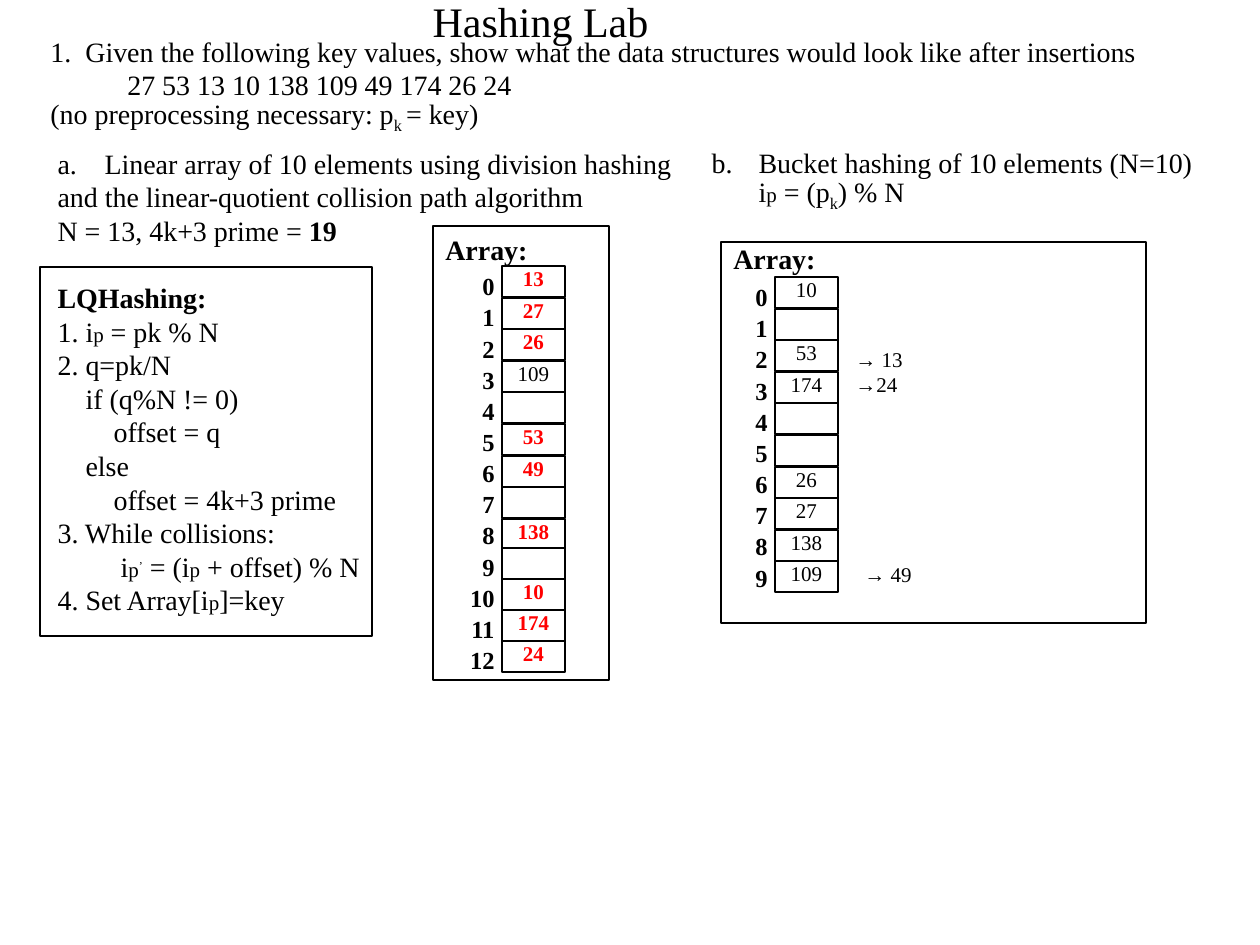
from lxml.etree import SubElement
from pptx import Presentation
from pptx.dml.color import RGBColor
from pptx.enum.shapes import MSO_SHAPE
from pptx.enum.text import MSO_ANCHOR, MSO_AUTO_SIZE, PP_ALIGN
from pptx.oxml.ns import qn
from pptx.util import Emu, Pt

FONT = "Times New Roman"
COLORS = {"ink": "000000", "paper": "FFFFFF", "hit": "FF0000"}
STYLES = {
    "bold": {"bold": True},
    "small": {"size": 12},
    "sub": {"baseline": -25000},
    "prime": {"size": 12, "baseline": 30000},
    "hit": {"bold": True, "color": "hit"},
}
INSET = (12.6, 6.3, 12.6, 6.3)


def px(value):
    return Emu(round(value * 914400 / 126))


def color(name):
    return RGBColor.from_string(COLORS[name])


def place(part, box):
    part.left, part.top, part.width, part.height = map(px, box)


def line(*runs, indent=0, hang=0, before=0, number=0):
    return {"runs": runs, "indent": indent, "hang": hang, "before": before, "number": number}


def write(part, lines, size=16, style=None, align=PP_ALIGN.LEFT, after=0, inset=INSET, wrap=True):
    frame = part.text_frame
    frame.word_wrap = wrap
    frame.auto_size = MSO_AUTO_SIZE.NONE
    frame.vertical_anchor = MSO_ANCHOR.TOP
    frame.margin_left, frame.margin_top, frame.margin_right, frame.margin_bottom = map(px, inset)
    for index, content in enumerate(lines):
        paragraph = frame.add_paragraph() if index else frame.paragraphs[0]
        paragraph.alignment = align
        paragraph.line_spacing = Pt(size * 1.2)
        paragraph.space_before = Pt(content["before"])
        paragraph.space_after = Pt(after)
        properties = paragraph._p.get_or_add_pPr()
        properties.set("marL", str(px(content["indent"])))
        properties.set("indent", str(px(-content["hang"])))
        if content["number"]:
            SubElement(properties, qn("a:buFont"), typeface=FONT)
            SubElement(properties, qn("a:buAutoNum"), type="alphaLcPeriod",
                       startAt=str(content["number"]))
        else:
            SubElement(properties, qn("a:buNone"))
        for item in content["runs"]:
            words, kind = item if isinstance(item, tuple) else (item, style)
            look = STYLES.get(kind, {})
            run = paragraph.add_run()
            run.text = words
            run.font.name = FONT
            run.font.size = Pt(look.get("size", size))
            run.font.bold = look.get("bold", False)
            run.font.color.rgb = color(look.get("color", "ink"))
            if "baseline" in look:
                run._r.get_or_add_rPr().set("baseline", str(look["baseline"]))


def add_text(shapes, box, lines, **options):
    write(shapes.add_textbox(*map(px, box)), lines, **options)


def add_frame(shapes, box, filled=True):
    frame = shapes.add_shape(MSO_SHAPE.RECTANGLE, *map(px, box))
    frame.shadow.inherit = False
    if filled:
        frame.fill.solid()
        frame.fill.fore_color.rgb = color("paper")
    else:
        frame.fill.background()
    frame.line.color.rgb = color("ink")
    frame.line.width = Pt(0.75)
    return frame


def add_cells(shapes, left, top, pitch, values, style=None):
    for row, value in enumerate(values):
        cell = add_frame(shapes, (left, top + round(row * pitch), 63, 31))
        if value:
            write(cell, [line(value)], size=12, style=style, align=PP_ALIGN.CENTER,
                  inset=(0, 0, 0, 0))


def add_indices(shapes, box, count):
    add_text(shapes, box, [line(str(index)) for index in range(count)], size=14,
             style="bold", align=PP_ALIGN.RIGHT, after=1, wrap=False)


def build_question(slide, left, top):
    place(slide.shapes.title, (left + 382, top - 39, 243, 64))
    write(slide.shapes.title, [line("Hashing Lab")], size=24, wrap=False)
    add_text(slide.shapes, (left, top, 1150, 115), [
        line("1.\tGiven the following key values, show what the data structures "
             "would look like after insertions", indent=35, hang=35),
        line("27 53 13 10 138 109 49 174 26 24", indent=77),
        line("(no preprocessing necessary: p", ("k ", "sub"), "= key)"),
    ])


def build_linear(slide, left, top):
    p = ("p", "small")
    steps = slide.placeholders[1]
    place(steps, (left, top, 649, 556))
    write(steps, [
        line("Linear array of 10 elements using division hashing", indent=47, hang=47, number=1),
        line("and the linear-quotient collision path algorithm"),
        line("N = 13, 4k+3 prime = ", ("19", "bold")),
        line(("LQHashing:", "bold"), before=19.2),
        line("1. i", p, " = pk % N"),
        line("2. q=pk/N"),
        line("if (q%N != 0)", indent=28),
        line("offset = q", indent=56),
        line("else", indent=28),
        line("offset = 4k+3 prime", indent=56),
        line("3. While collisions:"),
        line("i", p, ("’", "prime"), " = (i", p, " + offset) % N", indent=63),
        line("4. Set Array[i", p, "]=key"),
    ])
    add_frame(slide.shapes, (left - 5, top + 127, 332, 369), filled=False)
    array = add_frame(slide.shapes, (left + 388, top + 86, 176, 454))
    write(array, [line("Array:")], style="bold")
    table = slide.shapes.add_group_shape().shapes
    upper = ["13", "27", "26", ("109", None), "", "53", "49", "", "138"]
    add_cells(table, left + 457, top + 126, 31.6, upper, style="hit")
    add_cells(table, left + 457, top + 408, 31, ["", "10", "174", "24"], style="hit")
    add_indices(table, (left + 412, top + 125, 50, 420), 13)


def build_bucket(slide, left, top):
    heading = slide.placeholders[2]
    place(heading, (left, top, 512, 183))
    write(heading, [
        line("Bucket hashing of 10 elements (N=10) i", ("p", "small"), " = (p", ("k", "sub"),
             ") % N", indent=47, hang=47, number=2),
    ])
    array = add_frame(slide.shapes, (left + 22, top + 103, 425, 381))
    write(array, [line("Array:")], style="bold", inset=(12.6, 0, 12.6, 0))
    table = slide.shapes.add_group_shape().shapes
    values = ["10", "", "53", "174", "", "", "26", "27", "138", "109"]
    add_cells(table, left + 76, top + 138, 31.6, values)
    add_indices(table, (left + 43, top + 137, 38, 325), 10)
    add_text(slide.shapes, (left + 144, top + 201, 149, 63), [line("→ 13"), line("→24")], size=12)
    add_text(slide.shapes, (left + 153, top + 416, 103, 38), [line("→ 49")], size=12)


presentation = Presentation()
presentation.slide_width, presentation.slide_height = px(1260), px(945)
slide = presentation.slides.add_slide(presentation.slide_layouts[3])
build_question(slide, 38, 28)
build_linear(slide, 45, 140)
build_bucket(slide, 699, 139)
presentation.save("out.pptx")
